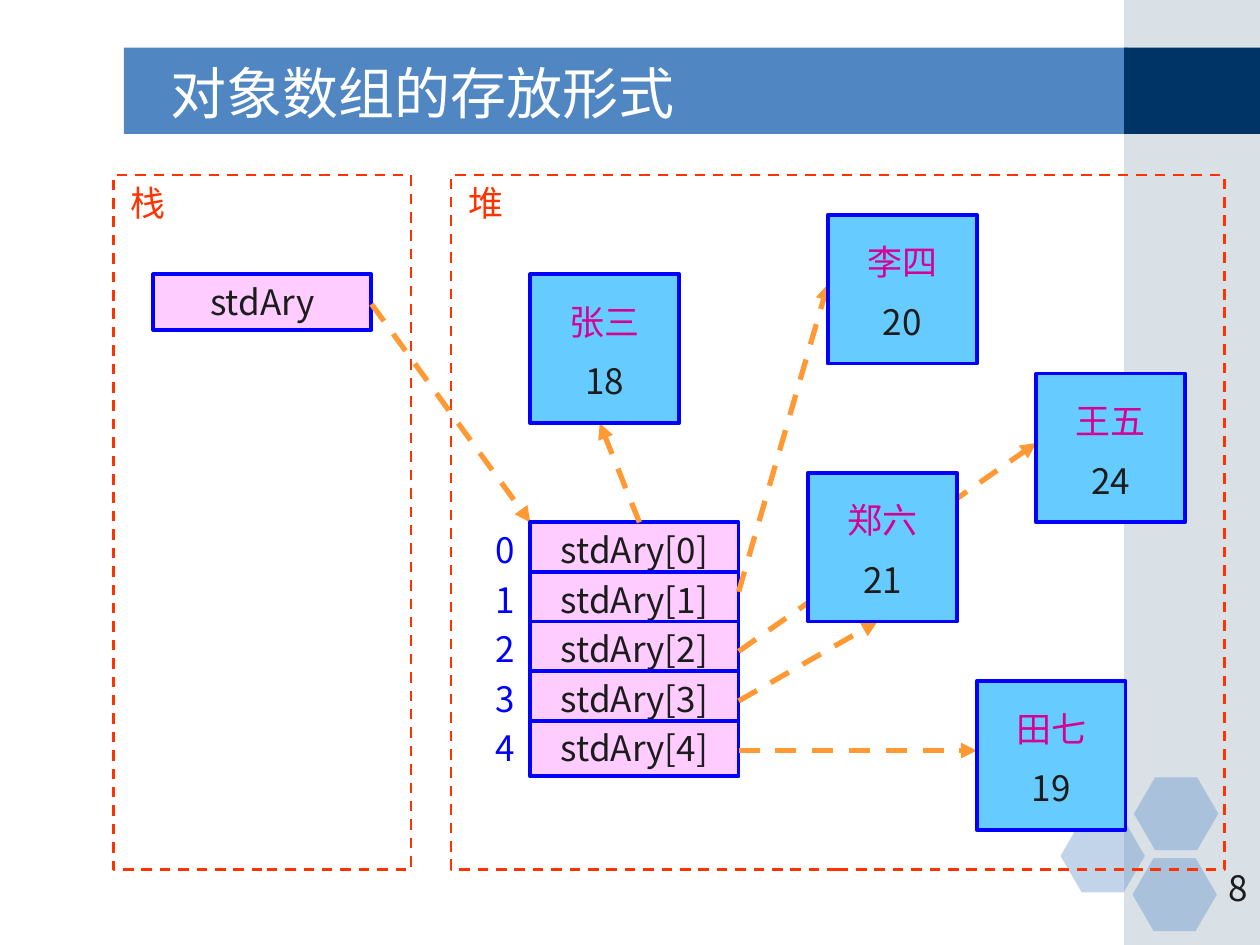
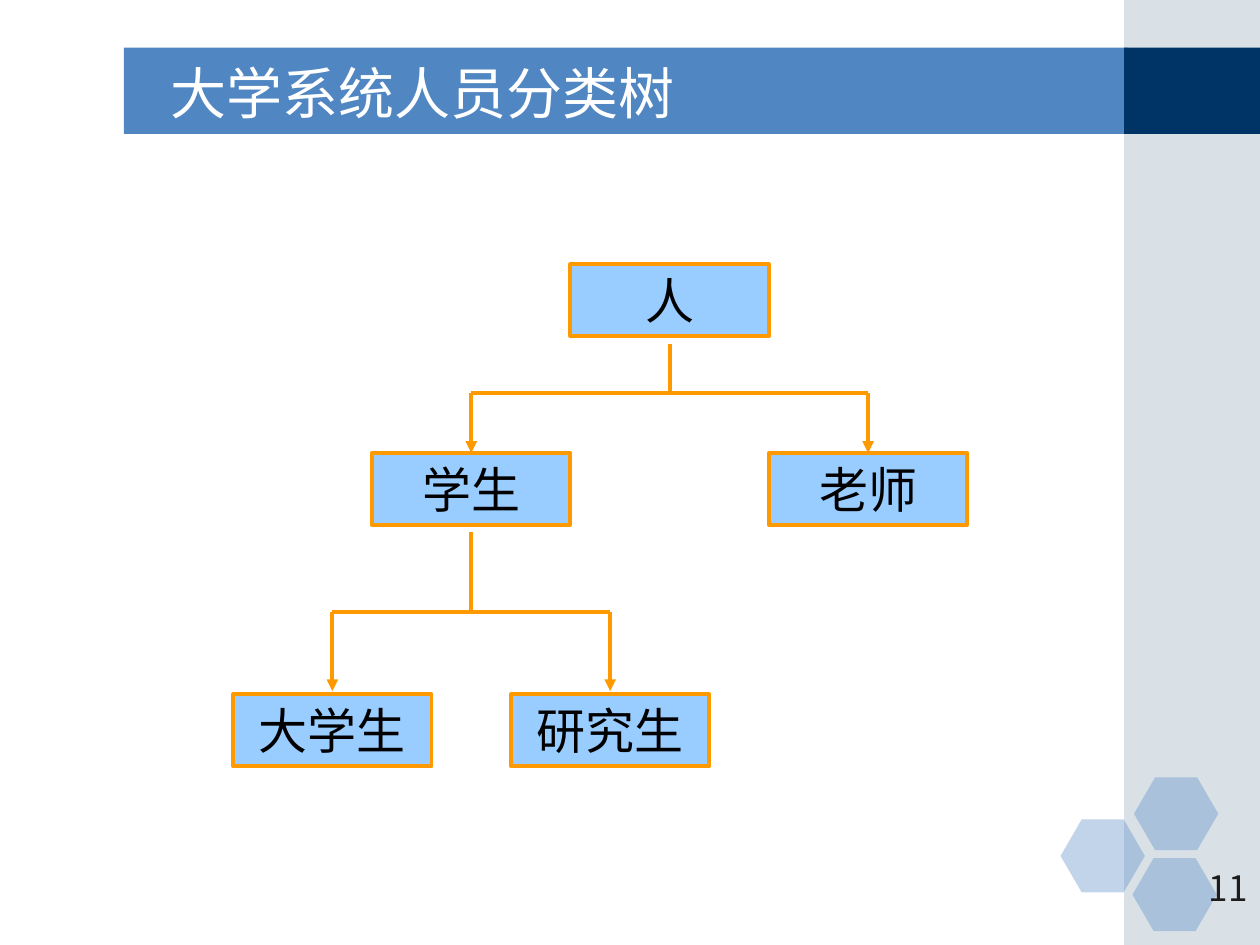
from lxml import etree
from pptx import Presentation
from pptx.dml.color import RGBColor
from pptx.enum.dml import MSO_LINE
from pptx.enum.shapes import MSO_CONNECTOR, MSO_SHAPE
from pptx.enum.text import MSO_ANCHOR, PP_ALIGN
from pptx.oxml.ns import qn
from pptx.util import Cm, Pt

RECT, HEX = MSO_SHAPE.RECTANGLE, MSO_SHAPE.HEXAGON
LINE = MSO_CONNECTOR.STRAIGHT
DASH = MSO_LINE.DASH
TOP, MID = MSO_ANCHOR.TOP, MSO_ANCHOR.MIDDLE
LEFT, MIDST, RIGHT = PP_ALIGN.LEFT, PP_ALIGN.CENTER, PP_ALIGN.RIGHT

COLORS = {
    "banner": "5086C2", "side": "A0B5C4", "navy": "003366",
    "white": "FFFFFF", "ink": "1C1C1C", "black": "000000",
    "zone": "FF3300", "cell": "FFCCFF", "edge": "0000FF",
    "node": "66CCFF", "name": "D60093", "arrow": "FF9933",
    "tree": "99CCFF", "branch": "FF9900",
}
SANS, SERIF, HEAD = "Noto Sans CJK SC", "Times New Roman", "DejaVu Sans"
WIDTH, HEIGHT = 25.4, 19.05
CELL_H = 1.12
NODE = 3
LEAF_W, LEAF_H = 4, 1.45


def paint(name):
    return RGBColor.from_string(COLORS[name])


def write(shape, text, size, color, font=SANS, align=MIDST, anchor=TOP):
    frame = shape.text_frame
    frame.word_wrap = True
    frame.vertical_anchor = anchor
    para = frame.paragraphs[0]
    para.text = text
    para.alignment = align
    para.font.size = Pt(size)
    para.font.name = font
    para.font.color.rgb = paint(color)


def label(slide, box, text, size, color, **style):
    write(slide.shapes.add_textbox(*map(Cm, box)), text, size, color, **style)


def block(slide, box, fill=None, edge=None, weight=2.25, dash=None, kind=RECT, alpha=None):
    shape = slide.shapes.add_shape(kind, *map(Cm, box))
    shape.shadow.inherit = False
    if fill:
        shape.fill.solid()
        shape.fill.fore_color.rgb = paint(fill)
    else:
        shape.fill.background()
    if alpha:
        tint = shape.fill._xPr.find(".//" + qn("a:srgbClr"))
        etree.SubElement(tint, qn("a:alpha"), val=str(alpha * 1000))
    if edge:
        shape.line.color.rgb = paint(edge)
        shape.line.width = Pt(weight)
        shape.line.dash_style = dash
    else:
        shape.line.fill.background()
    return shape


def link(slide, start, end, color, weight, dash=None, arrow=True):
    wire = slide.shapes.add_connector(LINE, *map(Cm, (*start, *end)))
    wire.line.color.rgb = paint(color)
    wire.line.width = Pt(weight)
    wire.line.dash_style = dash
    if arrow:
        etree.SubElement(wire.line._get_or_add_ln(), qn("a:tailEnd"), type="triangle")
    etree.SubElement(wire._element.spPr, qn("a:effectLst"))


def frame(deck, title, page):
    slide = deck.slides.add_slide(deck.slide_layouts[6])
    side, top, tall = 22.66, 0.96, 1.74
    block(slide, (2.5, top, 20.24, tall), "banner")
    block(slide, (side, 0, WIDTH - side, HEIGHT), "side", alpha=40)
    block(slide, (side, top, WIDTH - side, tall), "navy")
    for x, y in ((21.38, 16.52), (22.86, 15.67), (22.83, 17.3)):
        comb = block(slide, (x, y, 1.7, 1.47), "banner", kind=HEX, alpha=35)
        comb.adjustments[0] = 0.29
    label(slide, (3.18, 1.07, 18.62, 1.57), title, 32, "white",
          font=HEAD, align=LEFT, anchor=MID)
    label(slide, (20.12, 17.35, 5.28, 1.27), page, 20, "ink", align=RIGHT)
    return slide


def zone(slide, box, name):
    block(slide, box, edge="zone", weight=1.5, dash=DASH)
    label(slide, (*box[:2], 1.4, CELL_H), name, 20, "zone", font=SERIF)


def cell(slide, x, y, width, text):
    write(block(slide, (x, y, width, CELL_H), "cell", "edge"), text, 20, "ink")


def person(slide, x, y, name, age):
    block(slide, (x, y, NODE, NODE), "node", "edge")
    label(slide, (x + 0.4, y + 0.4, 2.2, CELL_H), name, 20, "name")
    label(slide, (x + 0.4, y + 1.6, 2.2, CELL_H), age, 20, "ink")


def stack(slide, x, y):
    zone(slide, (x, y, 6, 14), "栈")
    cell(slide, x + 0.8, y + 2, 4.4, "stdAry")


def heap(slide, x, y):
    zone(slide, (x, y, 15.6, 14), "堆")
    left, top, width = x + 1.6, y + 7, 4.2
    side, under = (0, 1.4), (1.4, NODE)
    people = [
        ("张三", "18", 1.6, 2, (2.2, 0), under),
        ("李四", "20", 7.6, 0.8, (width, 1.4), side),
        ("王五", "24", 11.8, 4, (width, 2.6), side),
        ("郑六", "21", 7.2, 6, (width, 3.6), under),
        ("田七", "19", 10.6, 10.2, (width, 4.6), side),
    ]
    link(slide, (x - 1.6, y + 2.6), (left, top), "arrow", 3, DASH)
    for i in range(len(people)):
        label(slide, (left - 1, top + i, 1, CELL_H), str(i), 20, "edge")
        cell(slide, left, top + i, width, f"stdAry[{i}]")
    for _, _, dx, dy, start, end in people:
        link(slide, (left + start[0], top + start[1]),
             (x + dx + end[0], y + dy + end[1]), "arrow", 3, DASH)
    for name, age, dx, dy, _, _ in people:
        person(slide, x + dx, y + dy, name, age)


def fork(slide, mid, top, kids, split, end):
    def wire(start, stop, arrow=False):
        link(slide, start, stop, "branch", 2.25, arrow=arrow)

    wire((mid, top + 1.6), (mid, top + split))
    wire((kids[0], top + split), (kids[-1], top + split))
    for kid in kids:
        wire((kid, top + split), (kid, top + end), True)


def tree(slide, x, y):
    half = LEAF_W / 2
    for text, dx, dy in (("人", 6.8, 0), ("学生", 2.8, 3.8), ("老师", 10.8, 3.8),
                         ("大学生", 0, 8.67), ("研究生", 5.6, 8.67)):
        box = (x + dx, y + dy, LEAF_W, LEAF_H)
        write(block(slide, box, "tree", "branch"), text, 28, "black", font=SERIF)
    fork(slide, x + 6.8 + half, y, (x + 2.8 + half, x + 10.8 + half), 2.6, 3.8)
    fork(slide, x + 2.8 + half, y + 3.8, (x + half, x + 5.6 + half), 3.2, 4.8)


def main():
    deck = Presentation()
    deck.slide_width, deck.slide_height = Cm(WIDTH), Cm(HEIGHT)
    store = frame(deck, "对象数组的存放形式", "8")
    stack(store, 2.29, 3.53)
    heap(store, 9.09, 3.53)
    tree(frame(deck, "大学系统人员分类树", "11"), 4.7, 5.33)
    deck.save("out.pptx")


if __name__ == "__main__":
    main()
